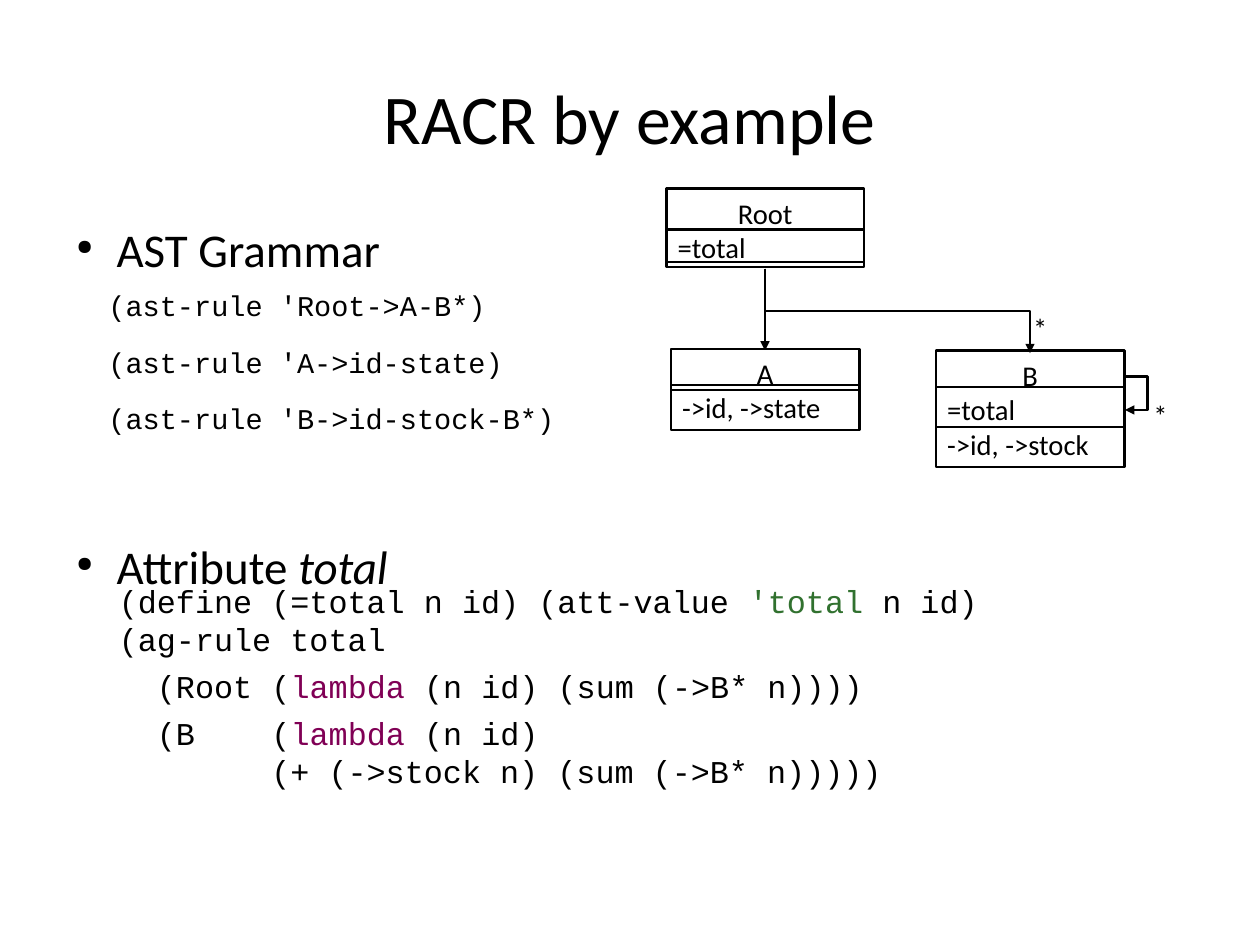
import lxml.etree
import pptx
import pptx.dml.color
import pptx.enum.shapes
import pptx.enum.text
import pptx.oxml.ns
import pptx.util

Cm = pptx.util.Cm
Pt = pptx.util.Pt
qn = pptx.oxml.ns.qn
ALIGN = pptx.enum.text.PP_ALIGN
ANCHOR = pptx.enum.text.MSO_ANCHOR
CONNECTOR = pptx.enum.shapes.MSO_CONNECTOR

BLACK = pptx.dml.color.RGBColor(0x00, 0x00, 0x00)
WHITE = pptx.dml.color.RGBColor(0xFF, 0xFF, 0xFF)
SYMBOL_GREEN = pptx.dml.color.RGBColor(0x31, 0x71, 0x2F)
KEYWORD_PURPLE = pptx.dml.color.RGBColor(0x80, 0x00, 0x55)
BODY_FONT = "Calibri"
CODE_FONT = "Courier New"


def add_frame(slide, left, top, width, height, inset=True):
    """Add a wrapping text box, given in centimetres, and return its frame."""
    box = slide.shapes.add_textbox(Cm(left), Cm(top), Cm(width), Cm(height))
    frame = box.text_frame
    frame.word_wrap = True
    if not inset:
        frame.margin_left = frame.margin_right = 0
        frame.margin_top = frame.margin_bottom = 0
    return frame


def next_paragraph(frame, index):
    """Return the first paragraph of a frame or a new one after it."""
    return frame.add_paragraph() if index else frame.paragraphs[0]


def add_run(paragraph, text, font, size, color=BLACK, italic=None):
    """Append one styled run to a paragraph."""
    run = paragraph.add_run()
    run.text = text
    run.font.name = font
    run.font.size = Pt(size)
    run.font.color.rgb = color
    run.font.italic = italic


def add_bullet(paragraph):
    """Give a paragraph a small round bullet with a hanging indent."""
    properties = paragraph._p.get_or_add_pPr()
    properties.set("marL", str(Cm(1.19)))
    properties.set("indent", str(Cm(-0.89)))
    lxml.etree.SubElement(properties, qn("a:buSzPct")).set("val", "45000")
    lxml.etree.SubElement(properties, qn("a:buChar")).set("char", "●")


def add_link(slide, kind, start, end, width=1.42, arrow=False, turn=0, bend=None):
    """Draw a black connector, with an arrowhead, rotation or bend if asked."""
    link = slide.shapes.add_connector(kind, *(Cm(v) for v in start + end))
    link.line.color.rgb = BLACK
    link.line.width = Pt(width)
    properties = link._element.spPr
    if arrow:
        tail = lxml.etree.SubElement(properties.find(qn("a:ln")), qn("a:tailEnd"))
        tail.set("type", "triangle")
    if turn:
        properties.find(qn("a:xfrm")).set("rot", str(turn * 60000))
    if bend is not None:
        guides = properties.find(qn("a:prstGeom")).find(qn("a:avLst"))
        guide = lxml.etree.SubElement(guides, qn("a:gd"))
        guide.set("name", "adj1")
        guide.set("fmla", f"val {bend}")
    lxml.etree.SubElement(properties, qn("a:effectLst"))


def add_title(slide, left, top, width, height):
    """Place the centred slide title in its box."""
    frame = add_frame(slide, left, top, width, height, inset=False)
    frame.vertical_anchor = ANCHOR.MIDDLE
    heading = frame.paragraphs[0]
    heading.alignment = ALIGN.CENTER
    add_run(heading, "RACR by example", BODY_FONT, 44)


def add_topics(slide, left, top, width, height):
    """Place the two bulleted topics, leaving room for code between them."""
    frame = add_frame(slide, left, top, width, height, inset=False)
    topics = [[("AST Grammar", None)], [("Attribute ", None), ("total", True)]]
    for index, topic in enumerate(topics):
        paragraph = next_paragraph(frame, index)
        if index:
            paragraph.space_before = Pt(150)
        paragraph.space_after = Pt(14.1)
        add_bullet(paragraph)
        for text, italic in topic:
            add_run(paragraph, text, BODY_FONT, 29.6, italic=italic)


def add_code(slide, left, top, width, height, lines, size, gaps, inset):
    """Place code lines, each a list of text and colour, with gaps after them."""
    frame = add_frame(slide, left, top, width, height, inset)
    for index, (line, gap) in enumerate(zip(lines, gaps)):
        paragraph = next_paragraph(frame, index)
        paragraph.space_after = Pt(gap)
        for text, color in line:
            add_run(paragraph, text, CODE_FONT, size, color)


def add_class(slide, left, top, width, height, dividers, labels):
    """Draw a class box with dividers at offsets from its top and its labels."""
    outline = slide.shapes.add_shape(
        pptx.enum.shapes.MSO_SHAPE.RECTANGLE, Cm(left), Cm(top), Cm(width), Cm(height))
    outline.shadow.inherit = False
    outline.fill.solid()
    outline.fill.fore_color.rgb = WHITE
    outline.line.color.rgb = BLACK
    outline.line.width = Pt(1.42)
    for offset in dividers:
        y = top + offset
        add_link(slide, CONNECTOR.STRAIGHT, (left, y), (left + width, y))
    frame = add_frame(slide, left, top + 0.04, width, height)
    for index, label in enumerate(labels):
        paragraph = next_paragraph(frame, index)
        paragraph.alignment = ALIGN.LEFT if index else ALIGN.CENTER
        add_run(paragraph, label, BODY_FONT, 18)


def add_diagram(slide, left, top):
    """Draw the Root, A and B classes and the links between them."""
    root_x, link_y = left + 2.19, top + 1.78
    b_left, b_top = left + 5.99, top + 3.6
    b_right = b_left + 4.19
    add_link(slide, CONNECTOR.STRAIGHT, (root_x, link_y), (root_x, top + 3.6),
             1.5, arrow=True)
    add_class(slide, left, top, 4.39, 1.75, (0.91, 1.63), ("Root", "=total"))
    add_class(slide, left + 0.1, top + 3.56, 4.19, 1.8, (0.81, 0.91),
              ("A", "->id, ->state"))
    add_class(slide, b_left, b_top, 4.19, 2.59, (0.81, 1.7),
              ("B", "=total", "->id, ->stock"))
    drop, run = 1.88, 5.89
    mid_x, mid_y = root_x + run / 2, link_y + drop / 2
    add_link(slide, CONNECTOR.ELBOW, (mid_x + drop / 2, mid_y - run / 2),
             (mid_x - drop / 2, mid_y + run / 2), 1.5, arrow=True, turn=270)
    add_link(slide, CONNECTOR.ELBOW, (b_right, b_top + 0.58),
             (b_right + 0.01, b_top + 1.32), 1.5, arrow=True, bend=5100000)
    for x, y in ((left + 7.9, top + 2.59), (left + 10.57, top + 4.52)):
        star = add_frame(slide, x, y, 0.81, 1.02)
        add_run(star.paragraphs[0], "*", BODY_FONT, 18)


def main():
    """Build the slide and save it."""
    deck = pptx.Presentation()
    deck.slide_width, deck.slide_height = Cm(28), Cm(21)
    slide = deck.slides.add_slide(deck.slide_layouts[6])
    grammar = [
        [("(ast-rule 'Root->A-B*)", BLACK)],
        [("(ast-rule 'A->id-state)", BLACK)],
        [("(ast-rule 'B->id-stock-B*)", BLACK)],
    ]
    attribute = [
        [("(define (=total n id) (att-value ", BLACK), ("'total", SYMBOL_GREEN),
         (" n id)", BLACK)],
        [("(ag-rule total", BLACK)],
        [("  (Root (", BLACK), ("lambda", KEYWORD_PURPLE),
         (" (n id) (sum (->B* n))))", BLACK)],
        [("  (B    (", BLACK), ("lambda", KEYWORD_PURPLE), (" (n id)", BLACK)],
        [("        (+ (->stock n) (sum (->B* n)))))", BLACK)],
    ]
    add_title(slide, 1.4, 0.84, 25.2, 3.5)
    add_topics(slide, 1.4, 4.9, 10.6, 7.7)
    add_code(slide, 2.41, 6.4, 11.4, 3.6, grammar, 18, (14.1, 14.1, 14.1), False)
    add_code(slide, 2.39, 12.8, 26, 5.2, attribute, 20, (0, 5.7, 5.7, 0, 0), True)
    add_diagram(slide, 14.81, 4.19)
    deck.save("out.pptx")


if __name__ == "__main__":
    main()
